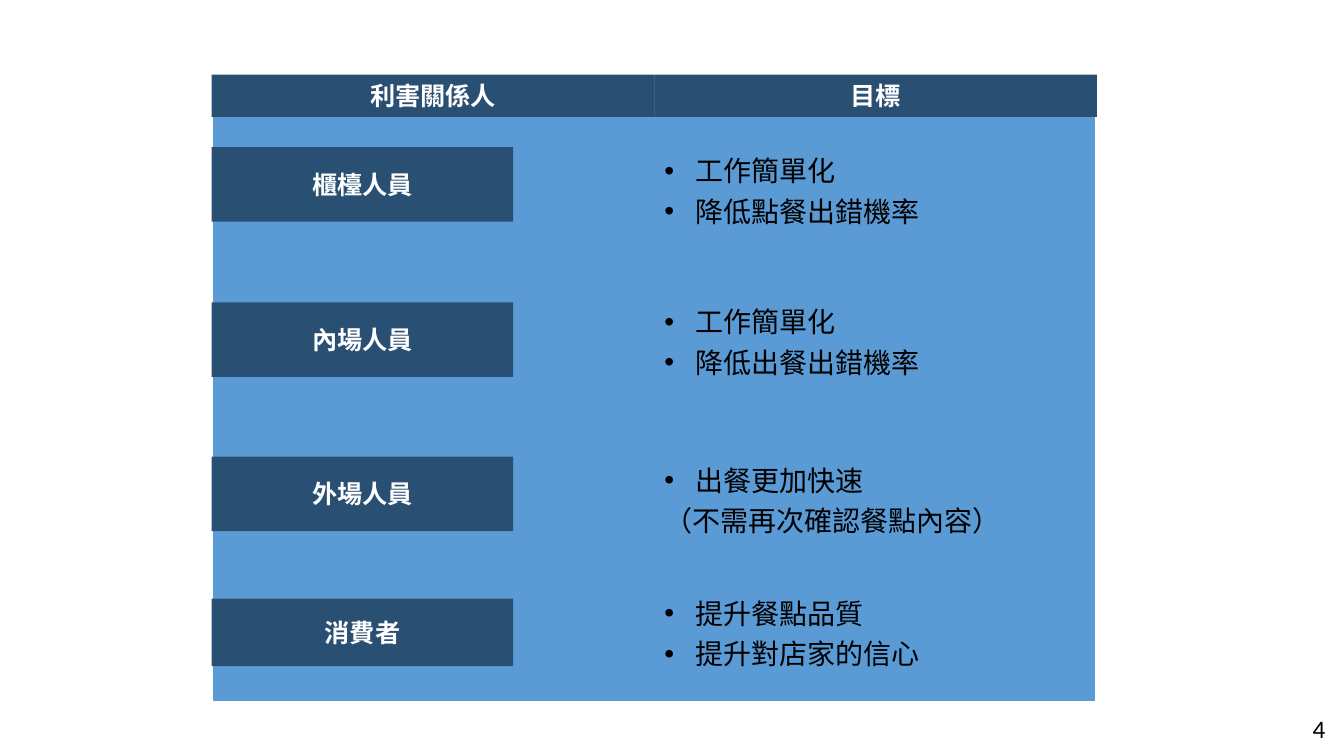
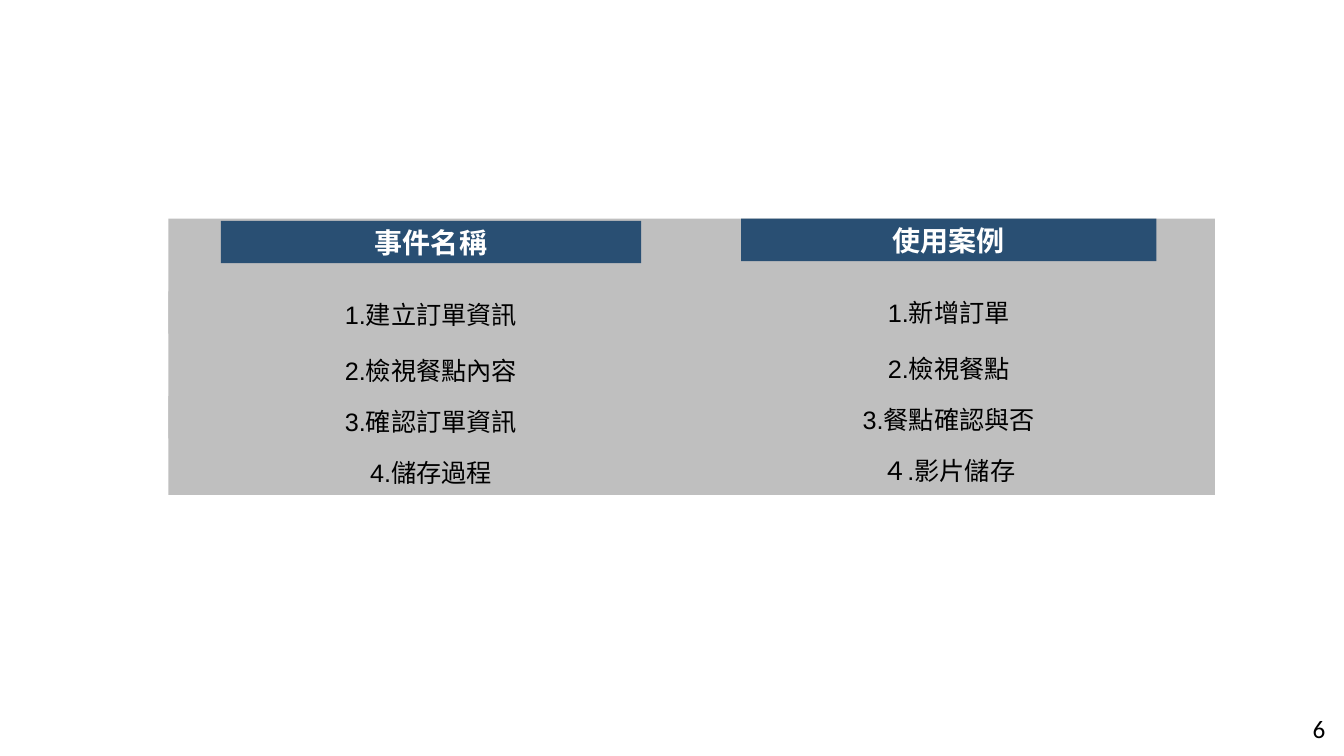
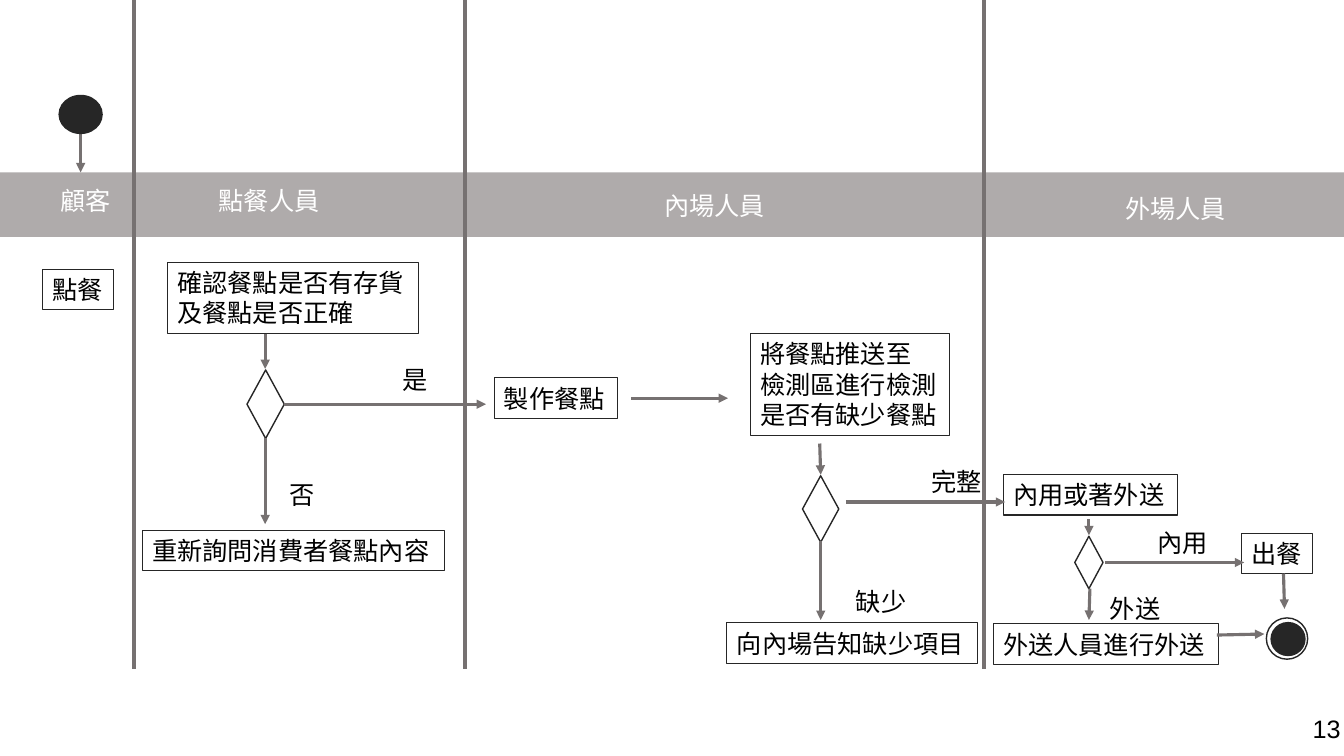
"""Build three slides on the goals, events and workflow of a meal ordering system."""
from lxml.etree import SubElement
from pptx import Presentation
from pptx.dml.color import RGBColor
from pptx.enum.shapes import MSO_CONNECTOR, MSO_SHAPE
from pptx.enum.text import MSO_ANCHOR, MSO_AUTO_SIZE, PP_ALIGN
from pptx.oxml.ns import qn
from pptx.util import Inches, Pt

COLORS = {
    "navy": "294F73",
    "blue": "5B9BD5",
    "silver": "BFBFBF",
    "band": "AFABAB",
    "arrow": "767171",
    "ink": "262626",
    "black": "000000",
    "white": "FFFFFF",
}
FONT = "Arial"
LINE_HEIGHT = 0.4

STAKEHOLDERS = [
    ("櫃檯人員", 1.46, 0.74, 1.41, ["工作簡單化", "降低點餐出錯機率"]),
    ("內場人員", 3, 0.74, 2.91, ["工作簡單化", "降低出餐出錯機率"]),
    ("外場人員", 4.53, 0.74, 4.48, ["出餐更加快速", "（不需再次確認餐點內容）"]),
    ("消費者", 5.94, 0.67, 5.8, ["提升餐點品質", "提升對店家的信心"]),
]

EVENT_ROW_TOPS = [2.89, 3.44, 3.95, 4.46]
EVENT_COLUMNS = [
    (2.19, 4.17, 0.02, "事件名稱",
     ["1.建立訂單資訊", "2.檢視餐點內容", "3.確認訂單資訊", "4.儲存過程"]),
    (7.35, 4.12, 0, "使用案例",
     ["1.新增訂單", "2.檢視餐點", "3.餐點確認與否", "４.影片儲存"]),
]

LANE_NAMES = [
    ("顧客", 0.5, 1.79, 0.71),
    ("點餐人員", 2.07, 1.79, 1.22),
    ("內場人員", 6.49, 1.84, 1.22),
    ("外場人員", 11.06, 1.87, 1.24),
]
LANE_EDGES = [1.33, 4.61, 9.76]
STEPS = [
    ("點餐", 0.42, 2.67, 0.71, 0.4),
    ("確認餐點是否有存貨\n及餐點是否正確", 1.66, 2.6, 2.49, 0.71),
    ("重新詢問消費者餐點內容", 1.41, 5.26, 3, 0.4),
    ("製作餐點", 4.9, 3.75, 1.22, 0.4),
    ("將餐點推送至\n檢測區進行檢測\n是否有缺少餐點", 7.44, 3.31, 1.98, 1.01),
    ("向內場告知缺少項目", 7.21, 6.18, 2.49, 0.4),
    ("內用或著外送", 9.95, 4.71, 1.73, 0.4),
    ("外送人員進行外送", 9.85, 6.19, 2.24, 0.4),
    ("出餐", 12.31, 5.29, 0.71, 0.4),
]
DECISIONS = [
    (2.45, 3.67, 0.37, 0.68),
    (7.96, 4.72, 0.36, 0.66),
    (10.66, 5.32, 0.28, 0.52),
]
BRANCHES = [
    ("否", 2.77, 4.71, 0.46),
    ("是", 3.89, 3.57, 0.46),
    ("缺少", 8.39, 5.77, 0.71),
    ("完整", 9.14, 4.58, 0.71),
    ("外送", 10.91, 5.84, 0.71),
    ("內用", 11.38, 5.18, 0.71),
]
FLOWS = [
    (0.8, 1.33, 0.8, 1.71),
    (2.63, 3.31, 2.63, 3.66),
    (2.63, 4.35, 2.63, 5.2),
    (2.82, 4.01, 4.82, 4.01),
    (6.26, 3.95, 7.22, 3.95),
    (8.13, 4.4, 8.14, 4.71),
    (8.14, 5.37, 8.14, 6.15),
    (8.39, 4.98, 9.97, 4.98),
    (10.8, 5.15, 10.8, 5.31),
    (10.81, 5.84, 10.8, 6.15),
    (10.96, 5.58, 12.34, 5.58),
    (12.73, 5.69, 12.74, 6.04),
    (12.07, 6.3, 12.54, 6.29),
]


def rgb(name):
    """Return the named palette colour."""
    return RGBColor.from_string(COLORS[name])


def add_figure(slide, kind, bounds, fill=None, line=None, line_width=1):
    """Add a flat preset shape with an optional fill and outline."""
    figure = slide.shapes.add_shape(kind, *map(Inches, bounds))
    figure.shadow.inherit = False
    if fill:
        figure.fill.solid()
        figure.fill.fore_color.rgb = rgb(fill)
    else:
        figure.fill.background()
    if line:
        figure.line.color.rgb = rgb(line)
        figure.line.width = Pt(line_width)
    else:
        figure.line.fill.background()
    return figure


def write(holder, text, size=18, color="black", bold=False,
          align=PP_ALIGN.LEFT, font=FONT):
    """Write lines of text into a shape in one style."""
    frame = holder.text_frame
    frame.word_wrap = True
    frame.text = text
    for paragraph in frame.paragraphs:
        paragraph.alignment = align
        paragraph.font.name = font
        paragraph.font.size = Pt(size)
        paragraph.font.bold = bold
        paragraph.font.color.rgb = rgb(color)


def add_label(slide, text, left, top, width, color="black", font=FONT):
    """Add a one-line text box."""
    label = slide.shapes.add_textbox(*map(Inches, (left, top, width, LINE_HEIGHT)))
    write(label, text, color=color, font=font)
    label.text_frame.auto_size = MSO_AUTO_SIZE.SHAPE_TO_FIT_TEXT
    return label


def add_bar(slide, text, bounds, fill="navy", color="white", size=18, bold=True):
    """Add a filled bar with centred text."""
    bar = add_figure(slide, MSO_SHAPE.RECTANGLE, bounds, fill)
    write(bar, text, size, color, bold, PP_ALIGN.CENTER)
    bar.text_frame.vertical_anchor = MSO_ANCHOR.MIDDLE


def add_goals(slide, goals, top):
    """Add a bulleted list of goals, leaving bracketed remarks unbulleted."""
    goal_list = slide.shapes.add_textbox(*map(Inches, (6.49, top, 4.06, 0.89)))
    write(goal_list, "\n".join(goals), size=20, align=PP_ALIGN.JUSTIFY)
    for paragraph in goal_list.text_frame.paragraphs:
        paragraph.line_spacing = 1.2
        if not paragraph.text.startswith("（"):
            properties = paragraph._p.get_or_add_pPr()
            properties.set("marL", str(Inches(0.31)))
            properties.set("indent", str(Inches(-0.31)))
            bullet_font, bullet = (
                properties.makeelement(qn(tag), {key: value})
                for tag, key, value in (("a:buFont", "typeface", FONT),
                                        ("a:buChar", "char", "•")))
            properties.find(qn("a:defRPr")).addprevious(bullet_font)
            bullet_font.addnext(bullet)


def add_line(slide, ends, width, arrow=False):
    """Add a straight grey line, with an arrowhead at its end if asked."""
    line = slide.shapes.add_connector(MSO_CONNECTOR.STRAIGHT, *map(Inches, ends))
    line.line.color.rgb = rgb("arrow")
    line.line.width = Pt(width)
    if arrow:
        SubElement(line.line._get_or_add_ln(), qn("a:tailEnd"), type="triangle")
    SubElement(line._element.spPr, qn("a:effectLst"))


def add_step(slide, text, *bounds):
    """Add an outlined workflow step."""
    step = add_figure(slide, MSO_SHAPE.RECTANGLE, bounds, line="ink", line_width=0.75)
    write(step, text)
    step.text_frame.vertical_anchor = MSO_ANCHOR.TOP
    step.text_frame.auto_size = MSO_AUTO_SIZE.SHAPE_TO_FIT_TEXT


def add_page(deck, number, font="Calibri"):
    """Add a blank slide with its page number."""
    slide = deck.slides.add_slide(deck.slide_layouts[6])
    page_number = add_label(slide, number, 12.92, 7.03, 0.41, font=font)
    page_number.text_frame.margin_right = 0
    return slide


def build_stakeholders(deck):
    """Build the slide of stakeholders and their goals."""
    slide = add_page(deck, "4")
    add_figure(slide, MSO_SHAPE.RECTANGLE, (2.1, 0.74, 8.77, 6.23), "blue", "white", 1.5)
    for column, heading in enumerate(["利害關係人", "目標"]):
        add_bar(slide, heading, (2.1 + column * 4.39, 0.74, 4.39, 0.42))
    for name, top, height, goals_top, goals in STAKEHOLDERS:
        add_bar(slide, name, (2.1, top, 2.99, height))
        add_goals(slide, goals, goals_top)


def build_events(deck):
    """Build the slide that pairs events with use cases."""
    slide = add_page(deck, "6")
    for top, height in [(2.17, 2.74), (2.89, 0.42), (3.93, 0.42)]:
        add_figure(slide, MSO_SHAPE.RECTANGLE, (1.67, top, 10.38, height), "silver")
    for left, width, drop, heading, entries in EVENT_COLUMNS:
        add_bar(slide, heading, (left, 2.17 + drop, width, 0.42), size=20)
        for top, entry in zip(EVENT_ROW_TOPS, entries):
            add_bar(slide, entry, (left, top + drop, width, 0.42),
                    "silver", "black", bold=False)


def build_workflow(deck):
    """Build the swimlane slide of the ordering workflow."""
    slide = add_page(deck, "13", FONT)
    add_figure(slide, MSO_SHAPE.RECTANGLE, (0, 1.71, 13.33, 0.64), "band")
    for lane in LANE_NAMES:
        add_label(slide, *lane, color="white")
    for step in STEPS:
        add_step(slide, *step)
    for bounds in DECISIONS:
        add_figure(slide, MSO_SHAPE.FLOWCHART_DECISION, bounds, line="ink")
    for branch in BRANCHES:
        add_label(slide, *branch)
    for edge in LANE_EDGES:
        add_line(slide, (edge, 0, edge, 6.64), 3)
    for ends in FLOWS:
        add_line(slide, ends, 2.25, arrow=True)
    for bounds in [(0.58, 0.94, 0.44, 0.39), (12.6, 6.17, 0.35, 0.34)]:
        add_figure(slide, MSO_SHAPE.OVAL, bounds, "ink")
    add_figure(slide, MSO_SHAPE.OVAL, (12.56, 6.13, 0.41, 0.41), line="ink")


def main():
    """Build and save the deck."""
    deck = Presentation()
    deck.slide_width = Inches(13.33)
    deck.slide_height = Inches(7.5)
    build_stakeholders(deck)
    build_events(deck)
    build_workflow(deck)
    deck.save("out.pptx")


if __name__ == "__main__":
    main()
